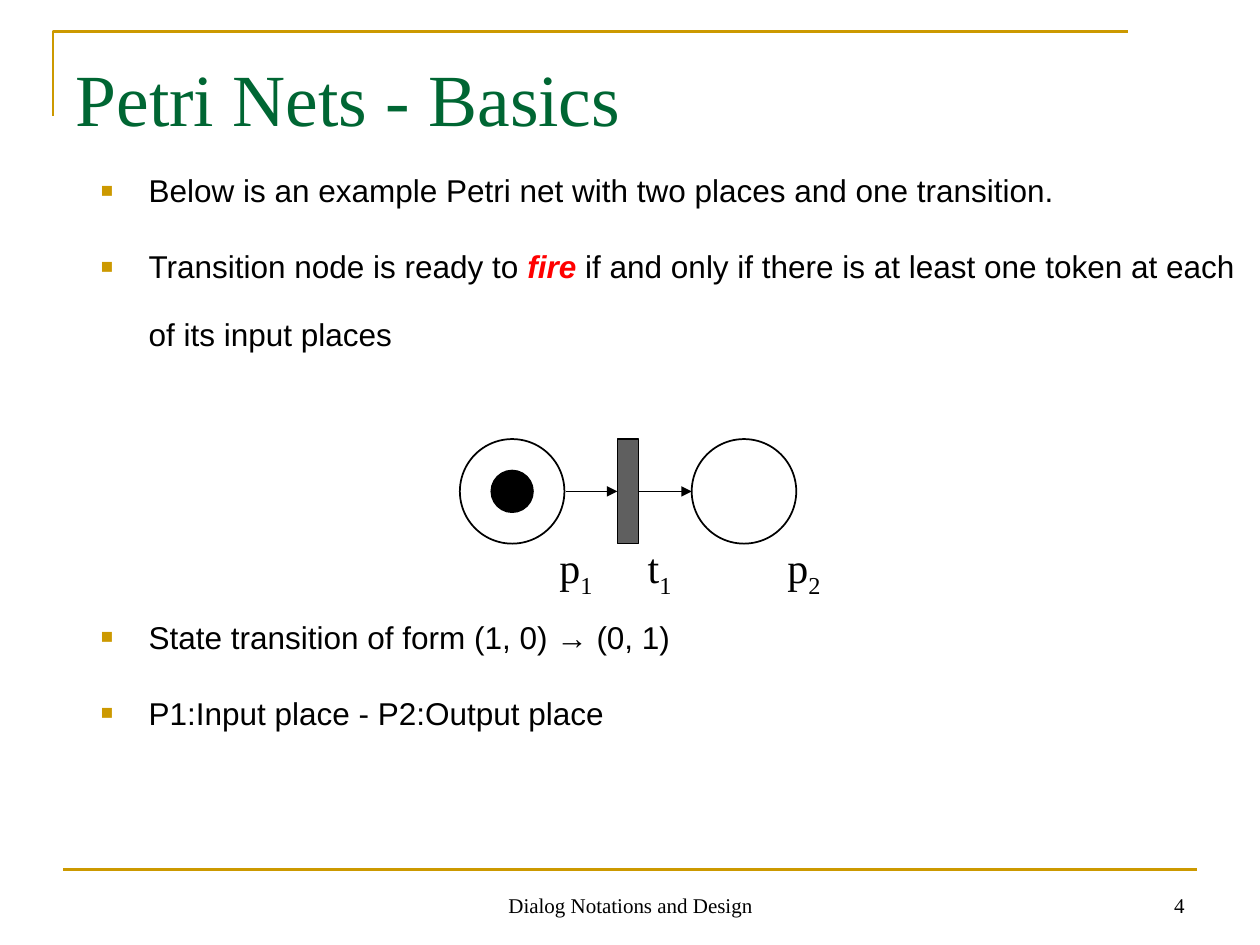
"""Build the Petri net basics slide."""
from dataclasses import dataclass

from lxml import etree
from pptx import Presentation
from pptx.dml.color import RGBColor
from pptx.enum.shapes import MSO_CONNECTOR, MSO_SHAPE
from pptx.enum.text import MSO_ANCHOR, MSO_AUTO_SIZE, PP_ALIGN
from pptx.oxml.ns import qn
from pptx.util import Inches, Pt

BLACK = RGBColor(0, 0, 0)
GOLD = RGBColor(0xCC, 0x99, 0x00)
GREEN = RGBColor(0x00, 0x66, 0x33)
RED = RGBColor(0xFF, 0, 0)
GRAY = RGBColor(0x5F, 0x5F, 0x5F)
SERIF = "Times New Roman"
SANS = "Arial"
ELLIPSE, RECTANGLE = MSO_SHAPE.OVAL, MSO_SHAPE.RECTANGLE
STRAIGHT = MSO_CONNECTOR.STRAIGHT
TOP, BOTTOM = MSO_ANCHOR.TOP, MSO_ANCHOR.BOTTOM
LEFT, CENTER, RIGHT = PP_ALIGN.LEFT, PP_ALIGN.CENTER, PP_ALIGN.RIGHT
NO_FIT = MSO_AUTO_SIZE.NONE
NET_AXIS = 3.9


@dataclass
class Node:
    kind: MSO_SHAPE
    left: float
    width: float
    height: float
    fill: RGBColor | None = None
    line_width: float = 1


@dataclass
class Line:
    start: tuple[float, float]
    end: tuple[float, float]
    color: RGBColor
    width: float
    arrow: bool = False


@dataclass
class Label:
    letter: str
    index: str
    left: float


@dataclass
class Bullet:
    segments: list[str]
    space_before: float = 4.5


@dataclass
class Footer:
    text: str
    left: float
    width: float
    align: PP_ALIGN


NODES = [
    Node(ELLIPSE, 3.65, 0.83, 0.83),
    Node(RECTANGLE, 4.9, 0.17, 0.83, GRAY, 0.75),
    Node(ELLIPSE, 5.49, 0.83, 0.83),
    Node(ELLIPSE, 3.9, 0.33, 0.33, BLACK),
]
LINES = [
    Line((0.5, 6.9), (9.5, 6.9), GOLD, 1.5),
    Line((4.49, NET_AXIS), (4.9, NET_AXIS), BLACK, 0.75, True),
    Line((5.07, NET_AXIS), (5.49, NET_AXIS), BLACK, 0.75, True),
]
LABELS = [Label("p", "1", 4.44), Label("t", "1", 5.14), Label("p", "2", 6.25)]
BULLETS = [
    Bullet(["Below is an example Petri net with two places and one transition."], 0),
    Bullet(["Transition node is ready to ", "fire",
            " if and only if there is at least one token at each of its input places"]),
    Bullet(["State transition of form (1, 0) → (0, 1)"], 134),
    Bullet(["P1:Input place - P2:Output place"]),
]
FOOTERS = [
    Footer("Dialog Notations and Design", 3.42, 3.17, CENTER),
    Footer("4", 7.17, 2.33, RIGHT),
]


def place(shape, left: float, top: float, width: float, height: float) -> None:
    shape.left, shape.top = Inches(left), Inches(top)
    shape.width, shape.height = Inches(width), Inches(height)


def style(font, name: str, size: float, color: RGBColor) -> None:
    font.name, font.size = name, Pt(size)
    font.color.rgb = color


def add_frame(slide) -> None:
    builder = slide.shapes.build_freeform(Inches(0.42), Inches(0.92), 1.0)
    corners = [(Inches(0.42), Inches(0.25)), (Inches(8.95), Inches(0.25))]
    builder.add_line_segments(corners, close=False)
    frame = builder.convert_to_shape()
    frame.shadow.inherit = False
    frame.fill.background()
    frame.line.color.rgb, frame.line.width = GOLD, Pt(1.5)


def add_line(slide, line: Line) -> None:
    points = [Inches(value) for value in (*line.start, *line.end)]
    connector = slide.shapes.add_connector(STRAIGHT, *points)
    connector.line.color.rgb, connector.line.width = line.color, Pt(line.width)
    if line.arrow:
        outline = connector.line._get_or_add_ln()
        etree.SubElement(outline, qn("a:tailEnd"), type="triangle")
    etree.SubElement(connector._element.spPr, qn("a:effectLst"))


def add_node(slide, node: Node) -> None:
    top = NET_AXIS - node.height / 2
    box = [Inches(value) for value in (node.left, top, node.width, node.height)]
    shape = slide.shapes.add_shape(node.kind, *box)
    shape.shadow.inherit = False
    shape.line.color.rgb, shape.line.width = BLACK, Pt(node.line_width)
    if node.fill is None:
        shape.fill.background()
    else:
        shape.fill.solid()
        shape.fill.fore_color.rgb = node.fill


def add_label(slide, label: Label) -> None:
    box = slide.shapes.add_textbox(Inches(label.left), Inches(4.3), Inches(0.4), Inches(0.42))
    frame = box.text_frame
    frame.margin_left = frame.margin_right = frame.margin_top = frame.margin_bottom = 0
    paragraph = frame.paragraphs[0]
    for text in (label.letter, label.index):
        run = paragraph.add_run()
        run.text = text
        style(run.font, SERIF, 24, BLACK)
    run.font._element.set("baseline", "-25000")


def add_footer(slide, footer: Footer) -> None:
    box = slide.shapes.add_textbox(Inches(footer.left), Inches(6.83), Inches(footer.width), Inches(0.5))
    frame = box.text_frame
    frame.word_wrap, frame.vertical_anchor = True, BOTTOM
    frame.text = footer.text
    paragraph = frame.paragraphs[0]
    paragraph.alignment = footer.align
    style(paragraph.runs[0].font, SERIF, 12, BLACK)


def fill_title(title) -> None:
    place(title, 0.5, 0.3, 9, 1.25)
    frame = title.text_frame
    frame.text = "Petri Nets - Basics"
    frame.auto_size, frame.vertical_anchor = NO_FIT, TOP
    frame.margin_top = Inches(0.12)
    paragraph = frame.paragraphs[0]
    paragraph.alignment = LEFT
    style(paragraph.runs[0].font, SERIF, 42, GREEN)


def add_bullet_mark(paragraph) -> None:
    properties = paragraph._p.get_or_add_pPr()
    properties.set("marL", str(Inches(0.38)))
    properties.set("indent", str(-Inches(0.38)))
    color = etree.SubElement(properties, qn("a:buClr"))
    etree.SubElement(color, qn("a:srgbClr"), val=str(GOLD))
    etree.SubElement(properties, qn("a:buSzPct"), val="65000")
    etree.SubElement(properties, qn("a:buFont"), typeface=SANS)
    etree.SubElement(properties, qn("a:buChar"), char="■")


def fill_body(body) -> None:
    place(body, 0.7, 1.07, 9.3, 5.4)
    frame = body.text_frame
    frame.auto_size, frame.vertical_anchor = NO_FIT, TOP
    for number, bullet in enumerate(BULLETS):
        paragraph = frame.add_paragraph() if number else frame.paragraphs[0]
        add_bullet_mark(paragraph)
        paragraph.line_spacing = 1.8
        paragraph.space_before = Pt(bullet.space_before)
        for text in bullet.segments:
            run = paragraph.add_run()
            run.text = text
            emphasis = text == "fire"
            style(run.font, SANS, 18, RED if emphasis else BLACK)
            run.font.bold = run.font.italic = emphasis


def main() -> None:
    presentation = Presentation()
    presentation.slide_width, presentation.slide_height = Inches(10), Inches(7.5)
    slide = presentation.slides.add_slide(presentation.slide_layouts[1])
    add_frame(slide)
    fill_title(slide.shapes.title)
    fill_body(slide.placeholders[1])
    for draw, items in ((add_line, LINES), (add_node, NODES),
                        (add_label, LABELS), (add_footer, FOOTERS)):
        for item in items:
            draw(slide, item)
    presentation.save("out.pptx")


if __name__ == "__main__":
    main()
